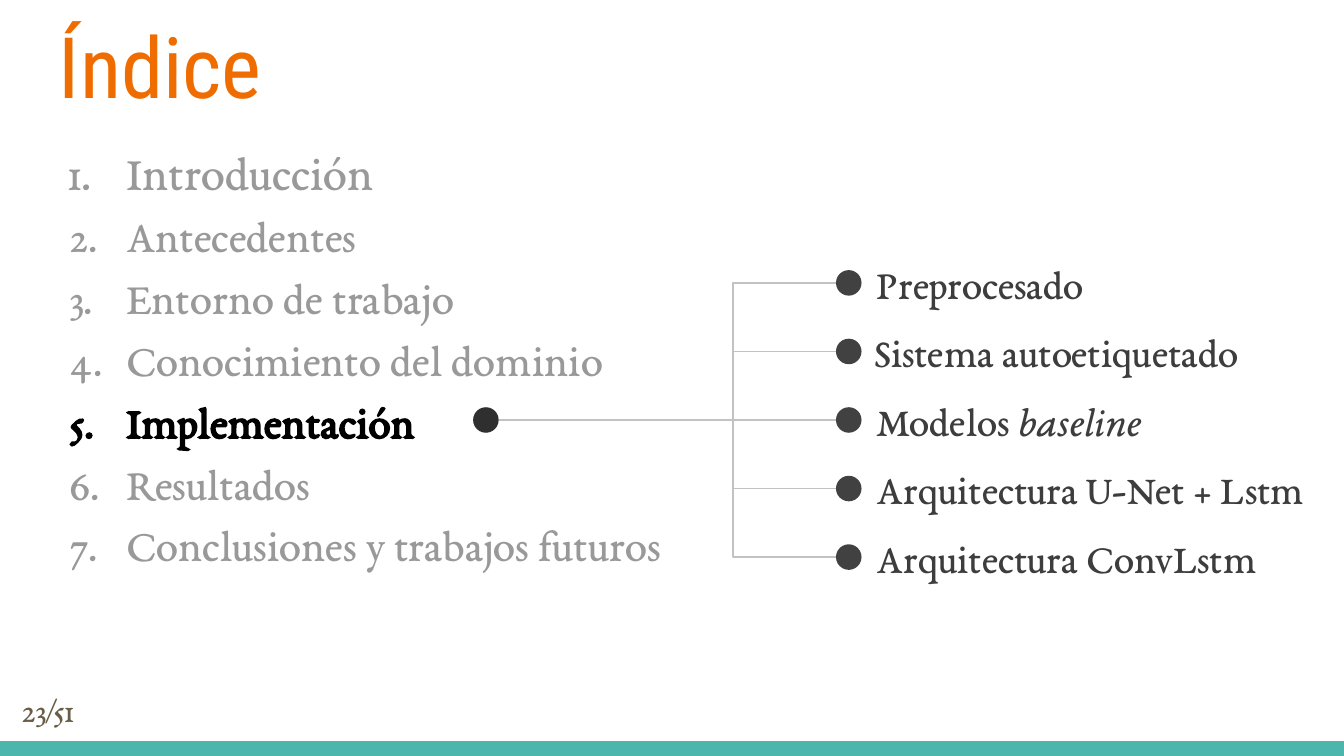
import pptx
import pptx.util
import pptx.dml.color
import pptx.enum.shapes
import pptx.enum.text
import pptx.oxml.ns
from lxml import etree

Inches = pptx.util.Inches
SHAPES = pptx.enum.shapes.MSO_SHAPE
CONNECTORS = pptx.enum.shapes.MSO_CONNECTOR
ANCHORS = pptx.enum.text.MSO_ANCHOR
qn = pptx.oxml.ns.qn

TITLE = "Índice"
PAGE_NUMBER = "23/51"
CHAPTERS = [
    "Introducción",
    "Antecedentes",
    "Entorno de trabajo",
    "Conocimiento del dominio",
    "Implementación",
    "Resultados",
    "Conclusiones y trabajos futuros",
]
CURRENT = "Implementación"
TOPICS = [
    ([("Preprocesado", False)], 6.41, 2.24),
    ([("Sistema autoetiquetado", False)], 6.39, 3.3),
    ([("Modelos ", False), ("baseline", True)], 6.41, 4.02),
    ([("Arquitectura U-Net + Lstm", False)], 6.41, 3.83),
    ([("Arquitectura ConvLstm", False)], 6.41, 3.95),
]

SERIF = "EB Garamond"
THEME = {
    "bar": "4DB6AC",
    "line": "C2C2C2",
    "root": "2F2F2F",
    "dot": "414141",
    "title": {"name": "Roboto Condensed", "size": 45.4, "color": "EF6C00"},
    "first": {"name": SERIF, "size": 26, "color": "999999"},
    "chapter": {"name": SERIF, "size": 24, "color": "999999"},
    "current": {"name": SERIF, "size": 24, "color": "000000", "bold": True},
    "topic": {"name": SERIF, "size": 22, "color": "3D3D3D"},
    "number": {"name": SERIF, "size": 18, "color": "695D46"},
}

WIDTH = 10
HEIGHT = WIDTH * 9 / 16
BAR_HEIGHT = 0.11
DOT = 0.19
ROOT_X = 3.52
ROOT_Y = 3.03 + DOT / 2
DOT_X = 6.22
TOPIC_STEP, TOPIC_HEIGHT = 0.51, 0.35
BEND = 0.695


def rgb(value):
    return pptx.dml.color.RGBColor.from_string(value)


def add_span(para, text, style, **extra):
    span = para.add_run()
    span.text = text
    for key, value in {**style, **extra}.items():
        if key == "color":
            span.font.color.rgb = rgb(value)
        else:
            setattr(span.font, key, pptx.util.Pt(value) if key == "size" else value)


def set_frame(box, anchor=ANCHORS.TOP):
    frame = box.text_frame
    margins = {f"margin_{side}": Inches(0.1) for side in ("left", "top", "right", "bottom")}
    for key, value in {**margins, "word_wrap": True, "vertical_anchor": anchor}.items():
        setattr(frame, key, value)
    return frame


def add_text_box(page, place):
    return set_frame(page.shapes.add_textbox(*map(Inches, place)))


def add_plain(page, kind, place, fill=None):
    shape = page.shapes.add_shape(kind, *map(Inches, place))
    shape.shadow.inherit = False
    shape.line.fill.background()
    if fill:
        shape.fill.solid()
        shape.fill.fore_color.rgb = rgb(fill)
    else:
        shape.fill.background()
    return shape


def add_dot(page, left, middle, fill):
    add_plain(page, SHAPES.OVAL, (left, middle - DOT / 2, DOT, DOT), fill)


def add_branch(page, middle):
    straight = middle == ROOT_Y
    kind = CONNECTORS.STRAIGHT if straight else CONNECTORS.ELBOW
    branch = page.shapes.add_connector(
        kind, *map(Inches, (ROOT_X + DOT, ROOT_Y, DOT_X, middle)))
    branch.line.color.rgb = rgb(THEME["line"])
    branch.line.width = pptx.util.Pt(0.75)
    properties = branch._element.spPr
    etree.SubElement(properties, qn("a:effectLst"))
    if not straight:
        guides = properties.find(qn("a:prstGeom")).get_or_add_avLst()
        etree.SubElement(guides, qn("a:gd"), name="adj1", fmla=f"val {round(BEND * 100000)}")


def add_number(para, style, indent):
    properties = para._p.get_or_add_pPr()
    properties.set("marL", str(Inches(0.5)))
    properties.set("indent", str(Inches(-indent)))
    color = etree.SubElement(properties, qn("a:buClr"))
    etree.SubElement(color, qn("a:srgbClr"), val=style["color"])
    etree.SubElement(properties, qn("a:buSzPts"), val=str(style["size"] * 100))
    etree.SubElement(properties, qn("a:buFont"), typeface=style["name"])
    etree.SubElement(properties, qn("a:buAutoNum"), type="arabicPeriod")


def add_chapters(page):
    frame = add_text_box(page, (0.34, 0.89, 5.35, 4.14))
    for index, chapter in enumerate(CHAPTERS):
        para = frame.add_paragraph() if index else frame.paragraphs[0]
        role = "current" if chapter == CURRENT else "chapter" if index else "first"
        add_number(para, THEME[role], 0.42 if index else 0.43)
        para.line_spacing = 1.15
        add_span(para, chapter, THEME[role])


def add_topics(page):
    middles = [ROOT_Y + (i - len(TOPICS) // 2) * TOPIC_STEP for i in range(len(TOPICS))]
    for middle in middles:
        add_branch(page, middle)
    add_dot(page, ROOT_X, ROOT_Y, THEME["root"])
    for (spans, left, width), middle in zip(TOPICS, middles):
        place = (left, middle - TOPIC_HEIGHT / 2, width, TOPIC_HEIGHT)
        label = add_plain(page, SHAPES.ROUNDED_RECTANGLE, place)
        para = set_frame(label, ANCHORS.MIDDLE).paragraphs[0]
        para.alignment = pptx.enum.text.PP_ALIGN.LEFT
        for text, italic in spans:
            add_span(para, text, THEME["topic"], italic=italic)
        add_dot(page, DOT_X, middle, THEME["dot"])


def main():
    deck = pptx.Presentation()
    deck.slide_width, deck.slide_height = Inches(WIDTH), Inches(HEIGHT)
    page = deck.slides.add_slide(deck.slide_layouts[6])
    bar = (0, HEIGHT - BAR_HEIGHT, WIDTH, BAR_HEIGHT)
    add_plain(page, SHAPES.RECTANGLE, bar, THEME["bar"])
    add_chapters(page)
    for text, place, role in [
        (TITLE, (0.34, 0, 9.32, 0.82), "title"),
        (PAGE_NUMBER, (0.06, 5.03, 0.79, 0.44), "number"),
    ]:
        add_span(add_text_box(page, place).paragraphs[0], text, THEME[role])
    add_topics(page)
    deck.save("out.pptx")


if __name__ == "__main__":
    main()
